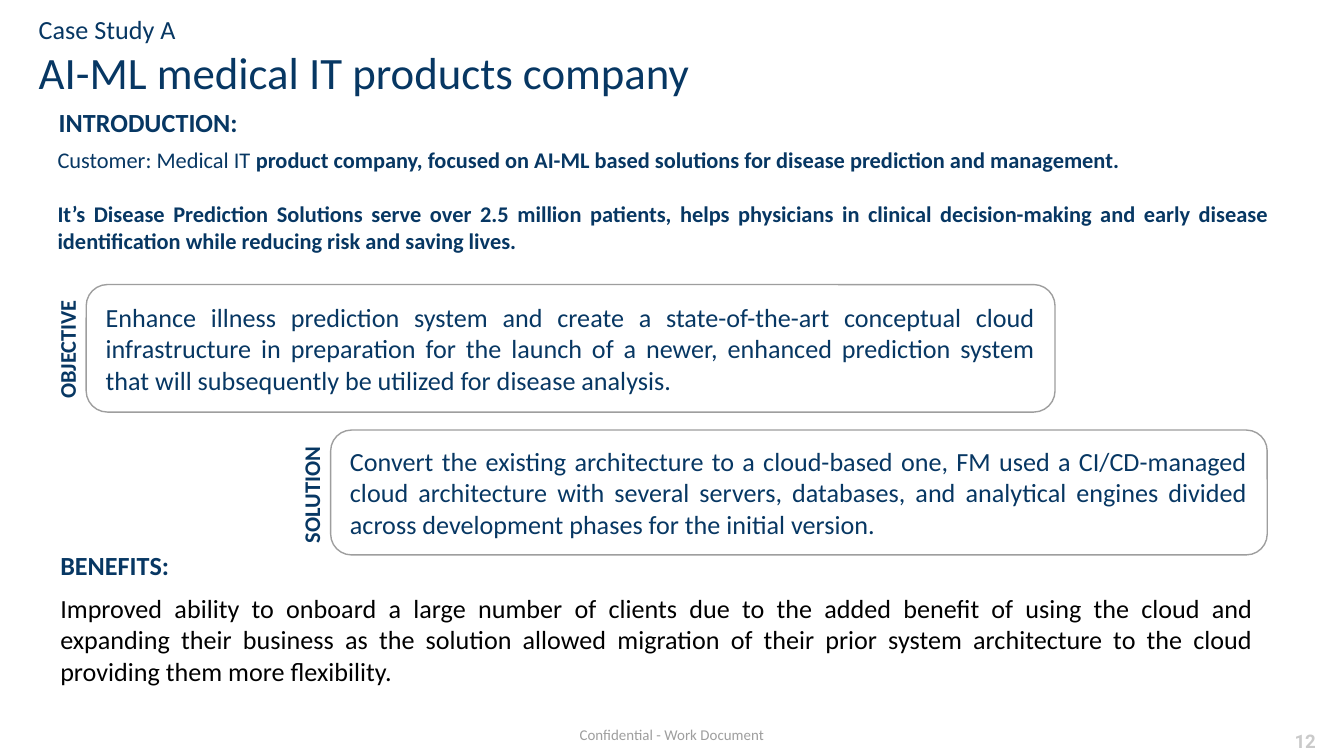
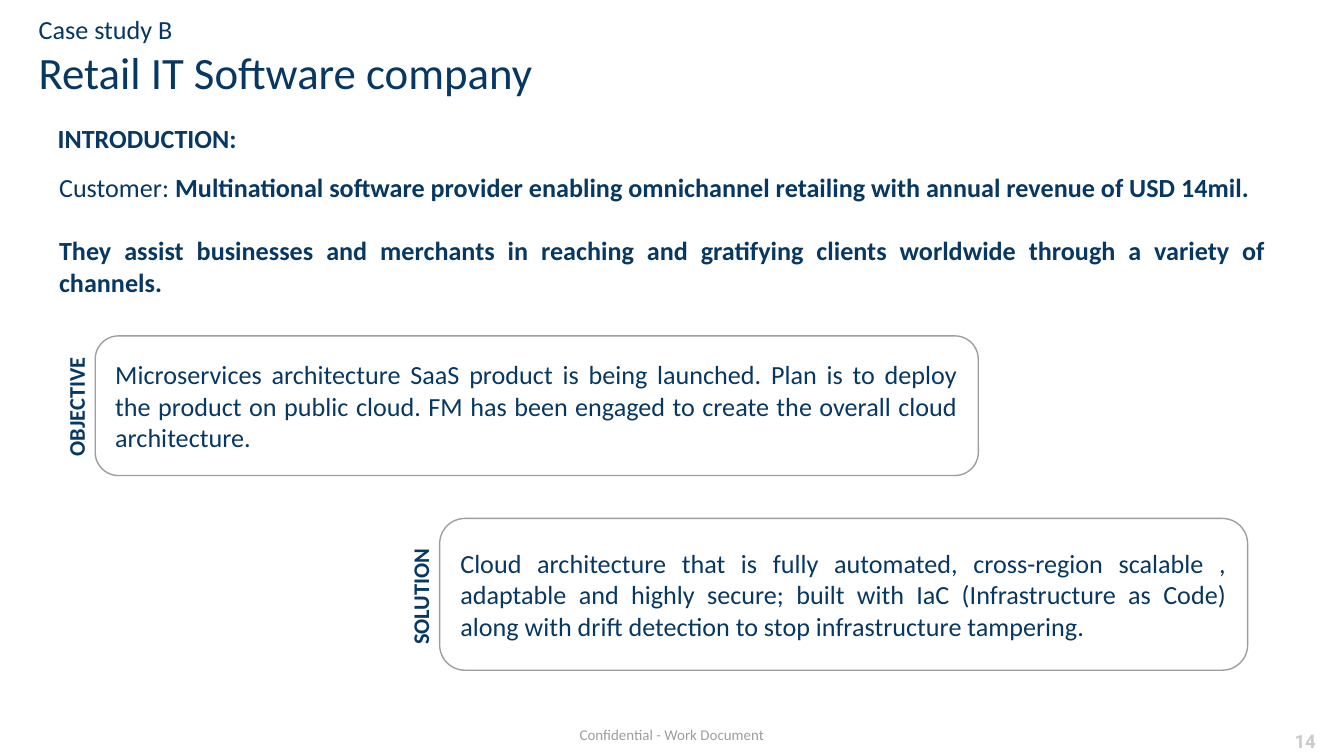
from dataclasses import dataclass
from typing import NamedTuple, Optional

from pptx import Presentation
from pptx.dml.color import RGBColor
from pptx.enum import shapes, text
from pptx.util import Cm, Pt

NAVY, GRAY, PALE, BLACK, WHITE = "073763", "9E9E9E", "CACACA", "000000", "FFFFFF"
BODY_FONT, NUMBER_FONT = "Calibri", "Roboto"
LEFT, CENTER, RIGHT, JUSTIFY = (
    text.PP_ALIGN.LEFT, text.PP_ALIGN.CENTER, text.PP_ALIGN.RIGHT, text.PP_ALIGN.JUSTIFY)
TOP, MIDDLE = text.MSO_ANCHOR.TOP, text.MSO_ANCHOR.MIDDLE
INSET, TIGHT_INSET = 0.25, 0.13
LINE_HEIGHT = 1.22  # height of one line relative to the font size


class Box(NamedTuple):
    """A rectangle in centimetres."""
    left: float
    top: float
    width: float
    height: float

    def lengths(self) -> list:
        return [Cm(value) for value in self]


class Run(NamedTuple):
    words: str
    size: float = 14
    bold: bool = False
    color: str = NAVY
    font: str = BODY_FONT


@dataclass
class Panel:
    """A rounded box with justified text, and a sideways label if it has a name."""
    box: Box
    paragraphs: list
    label: str = ""
    bottom_inset: float = INSET


@dataclass
class Heading:
    words: str
    box: Box


@dataclass
class CaseStudy:
    kicker: str
    title: str
    number: str
    panels: list
    headings: list
    benefits: Optional[str] = None


TITLE_BOX = Box(0.48, 0, 23.67, 1.6)
NUMBER_BOX = Box(23.6, 13.46, 1.52, 1.09)
FOOTER_BOX = Box(10.21, 13.46, 4.98, 0.86)
BENEFITS_BOX = Box(0.89, 11.07, 23.06, 2.06)
LABEL_WIDTH, LABEL_HEIGHT, LABEL_OFFSET = 2.41, 0.76, 0.37

CASE_STUDIES = [
    CaseStudy(
        "Case Study A", "AI-ML medical IT products company", "12",
        panels=[
            Panel(Box(0.71, 2.46, 23.67, 2.64), [
                [Run("Customer: Medical IT ", 12),
                 Run("product company, focused on AI-ML based solutions for disease "
                     "prediction and management.", 12, True)],
                [Run("It’s Disease Prediction Solutions serve over 2.5 million patients, "
                     "helps physicians in clinical decision-making and early disease "
                     "identification while reducing risk and saving lives.", 12, True)],
            ]),
            Panel(Box(1.63, 5.38, 18.31, 2.41), [[Run(
                "Enhance illness prediction system and create a state-of-the-art conceptual "
                "cloud infrastructure in preparation for the launch of a newer, enhanced "
                "prediction system that will subsequently be utilized for disease analysis."
            )]], "OBJECTIVE"),
            Panel(Box(6.25, 8.13, 17.7, 2.36), [[Run(
                "Convert the existing architecture to a cloud-based one, FM used a "
                "CI/CD-managed cloud architecture with several servers, databases, and "
                "analytical engines divided across development phases for the initial version."
            )]], "SOLUTION"),
        ],
        headings=[
            Heading("INTRODUCTION:", Box(0.86, 1.88, 3.94, 0.86)),
            Heading("BENEFITS:", Box(0.89, 10.26, 2.59, 0.86)),
        ],
        benefits="Improved ability to onboard a large number of clients due to the added "
                 "benefit of using the cloud and expanding their business as the solution "
                 "allowed migration of their prior system architecture to the cloud "
                 "providing them more flexibility.",
    ),
    CaseStudy(
        "Case study B", "Retail IT Software company", "14",
        panels=[
            Panel(Box(0.69, 2.92, 23.67, 3.63), [
                [Run("Customer: "),
                 Run("Multinational software provider enabling omnichannel retailing with "
                     "annual revenue of USD 14mil.", bold=True)],
                [Run("They assist businesses and merchants in reaching and gratifying "
                     "clients worldwide through a variety of channels.", bold=True)],
            ], bottom_inset=0.85),
            Panel(Box(1.8, 6.35, 16.69, 2.64), [[Run(
                "Microservices architecture SaaS product is being launched. Plan is to "
                "deploy the product on public cloud. FM has been engaged to create the "
                "overall cloud architecture."
            )]], "OBJECTIVE"),
            Panel(Box(8.31, 9.8, 15.27, 2.87), [[Run(
                "Cloud architecture that is fully automated, cross-region scalable , "
                "adaptable and highly secure; built with IaC (Infrastructure as Code) "
                "along with drift detection to stop infrastructure tampering."
            )]], "SOLUTION"),
        ],
        headings=[Heading("INTRODUCTION:", Box(0.84, 2.18, 3.94, 0.86))],
    ),
]


def rgb(color: str) -> RGBColor:
    return RGBColor.from_string(color)


def add_run(paragraph, run: Run) -> None:
    piece = paragraph.add_run()
    piece.text = run.words
    piece.font.name = run.font
    piece.font.size = Pt(run.size)
    piece.font.bold = run.bold
    piece.font.color.rgb = rgb(run.color)


def format_frame(frame, anchor, vertical_inset: float = INSET, wrap: bool = True) -> None:
    frame.word_wrap = wrap
    frame.auto_size = text.MSO_AUTO_SIZE.NONE
    frame.vertical_anchor = anchor
    frame.margin_left = frame.margin_right = Cm(INSET)
    frame.margin_top = frame.margin_bottom = Cm(vertical_inset)


def write_paragraphs(frame, paragraphs: list, alignment) -> None:
    """Fill a text frame, leaving one line of space between paragraphs."""
    for index, runs in enumerate(paragraphs):
        paragraph = frame.add_paragraph() if index else frame.paragraphs[0]
        paragraph.alignment = alignment
        if index:
            paragraph.space_before = Pt(runs[0].size * LINE_HEIGHT)
        for run in runs:
            add_run(paragraph, run)


def add_text(slide, box: Box, run: Run, alignment=LEFT, anchor=TOP,
             vertical_inset: float = TIGHT_INSET, wrap: bool = True):
    shape = slide.shapes.add_textbox(*box.lengths())
    format_frame(shape.text_frame, anchor, vertical_inset, wrap)
    write_paragraphs(shape.text_frame, [[run]], alignment)
    return shape


def add_title(slide, study: CaseStudy) -> None:
    title = slide.shapes.title
    title.left, title.top, title.width, title.height = TITLE_BOX.lengths()
    format_frame(title.text_frame, TOP)
    paragraph = title.text_frame.paragraphs[0]
    paragraph.alignment = LEFT
    add_run(paragraph, Run(study.kicker))
    paragraph.add_line_break()
    add_run(paragraph, Run(study.title, 24))


def add_footer(slide, number: str) -> None:
    add_text(slide, NUMBER_BOX, Run(number, 10, True, PALE, NUMBER_FONT),
             RIGHT, MIDDLE, INSET)
    add_text(slide, FOOTER_BOX, Run("Confidential - Work Document", 8, color=GRAY),
             CENTER, vertical_inset=INSET)


def add_panel(slide, panel: Panel) -> None:
    shape = slide.shapes.add_shape(
        shapes.MSO_SHAPE.ROUNDED_RECTANGLE, *panel.box.lengths())
    shape.shadow.inherit = False
    shape.fill.solid()
    shape.fill.fore_color.rgb = rgb(WHITE)
    if panel.label:
        shape.line.color.rgb = rgb(GRAY)
        shape.line.width = Pt(0.75)
    else:
        shape.line.fill.background()
    format_frame(shape.text_frame, MIDDLE)
    shape.text_frame.margin_bottom = Cm(panel.bottom_inset)
    write_paragraphs(shape.text_frame, panel.paragraphs, JUSTIFY)


def add_side_label(slide, panel: Panel) -> None:
    """Write the panel's label upwards, centred beside its left edge."""
    box = Box(panel.box.left - LABEL_OFFSET - LABEL_WIDTH / 2,
              panel.box.top + (panel.box.height - LABEL_HEIGHT) / 2,
              LABEL_WIDTH, LABEL_HEIGHT)
    label = add_text(slide, box, Run(panel.label, 12, True), wrap=False)
    label.rotation = 270


def add_case_study(presentation, study: CaseStudy) -> None:
    slide = presentation.slides.add_slide(presentation.slide_layouts[5])
    add_title(slide, study)
    add_footer(slide, study.number)
    for panel in study.panels:
        add_panel(slide, panel)
    for panel in study.panels:
        if panel.label:
            add_side_label(slide, panel)
    for heading in study.headings:
        add_text(slide, heading.box, Run(heading.words, bold=True), wrap=False)
    if study.benefits:
        add_text(slide, BENEFITS_BOX, Run(study.benefits, color=BLACK), JUSTIFY)


def main() -> None:
    presentation = Presentation()
    presentation.slide_width, presentation.slide_height = Cm(25.4), Cm(14.29)
    for study in CASE_STUDIES:
        add_case_study(presentation, study)
    presentation.save("out.pptx")


if __name__ == "__main__":
    main()
